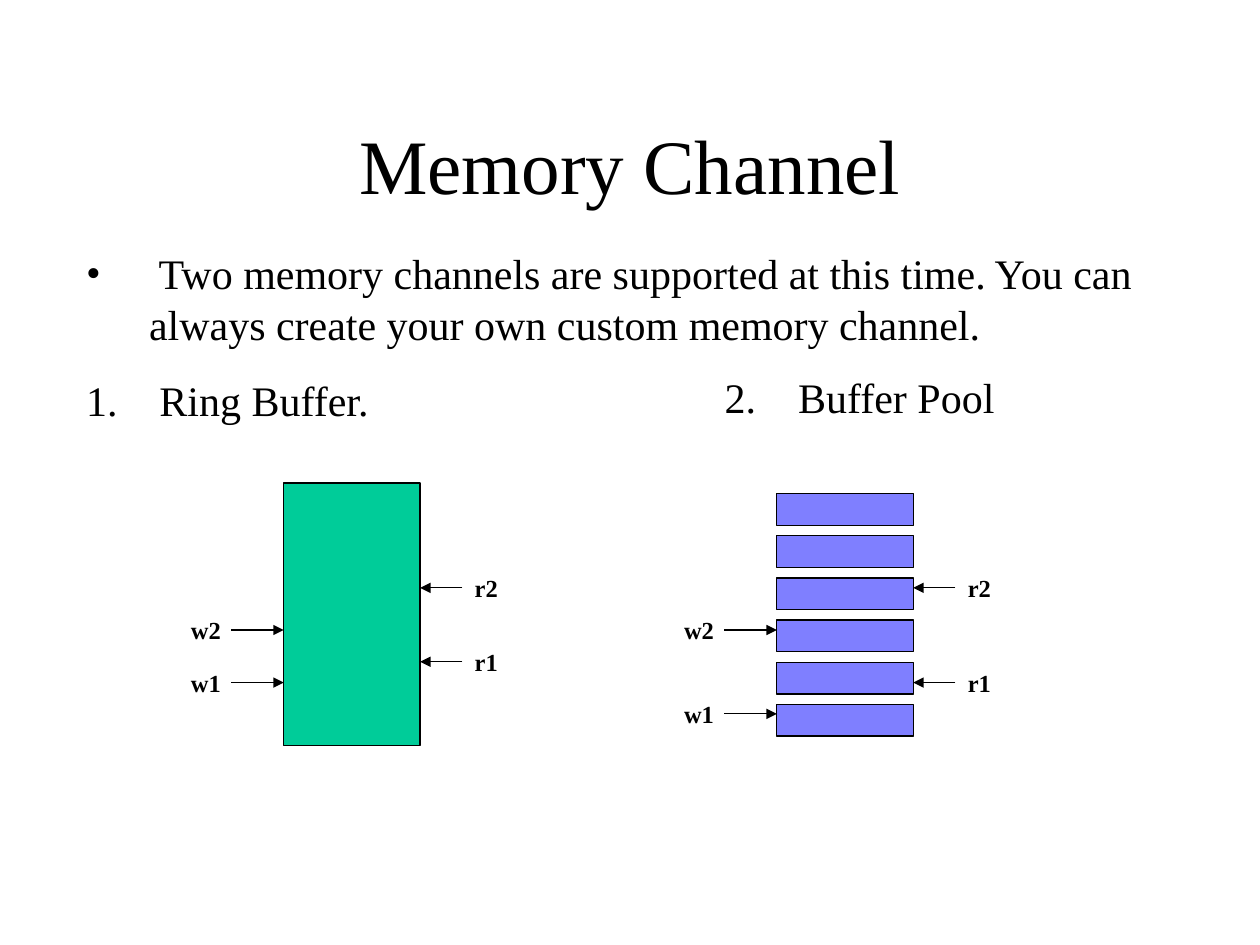
from pptx import Presentation
from pptx.dml.color import RGBColor
from pptx.enum import shapes, text
from pptx.oxml.ns import qn
from pptx.util import Cm, Pt
from lxml import etree

FONT = "Times New Roman"
BLACK = "000000"
TITLE = "Memory Channel"
INTRO = (" Two memory channels are supported at this time. "
         "You can always create your own custom memory channel.")
CHANNELS = (" Ring Buffer.", " Buffer Pool")

# Lengths in centimetres
TITLE_BOX = (1.9, 1.7, 21.6, 3.18)
BODY_BOX = (1.48, 4.87, 22.23, 3.84)
SECOND_BOX = (14.36, 7.37, 8, 1.3)
BUFFER_W = 2.75
WRITE_LEN, READ_LEN = 1.06, 0.85
LABEL_W, LABEL_H = 1.48, 0.86
LABEL_RISE = 0.42      # label top above its arrow
LABEL_SHIFT = 2.12     # writer label left of its buffer

DIAGRAMS = [
    {"left": 5.72, "top": 9.74, "height": 5.29, "count": 1, "pitch": 0,
     "fill": "00CC99", "alpha": 100,
     "writers": {"w1": 13.76, "w2": 12.7},
     "readers": {"r1": 13.34, "r2": 11.85}},
    {"left": 15.66, "top": 9.95, "height": 0.64, "count": 6, "pitch": 0.85,
     "fill": "0000FF", "alpha": 50,
     "writers": {"w1": 14.39, "w2": 12.7},
     "readers": {"r1": 13.76, "r2": 11.85}},
]


def rgb(value):
    return RGBColor.from_string(value)


def cms(values):
    return [Cm(v) for v in values]


def add_xml(parent, tag, **attrs):
    return etree.SubElement(parent, qn(tag), attrs)


def place(sp, box):
    sp.left, sp.top, sp.width, sp.height = cms(box)


def write(p, words, size, bold=False):
    r = p.add_run()
    r.text = words
    for name, value in {"name": FONT, "size": Pt(size), "bold": bold}.items():
        setattr(r.font, name, value)
    r.font.color.rgb = rgb(BLACK)


def set_frame(tf, anchor=text.MSO_ANCHOR.TOP):
    for name, value in {"word_wrap": True, "vertical_anchor": anchor,
                        "auto_size": text.MSO_AUTO_SIZE.NONE}.items():
        setattr(tf, name, value)


def add_item(p, words, number=None, before=0):
    """Write a list item with a hanging indent, numbered or with a dot."""
    p.space_before = Pt(before)
    p.alignment = text.PP_ALIGN.LEFT
    write(p, words, 24)
    pr = p._p.get_or_add_pPr()
    pr.set("marL", str(Cm(1.27)))
    pr.set("indent", str(Cm(-1.27)))
    add_xml(pr, "a:buFont", typeface=FONT)
    if number:
        add_xml(pr, "a:buAutoNum", type="arabicPeriod", startAt=str(number))
    else:
        add_xml(pr, "a:buChar", char="•")


def add_buffer(s, box, fill, alpha):
    sp = s.shapes.add_shape(shapes.MSO_SHAPE.RECTANGLE, *cms(box))
    sp.shadow.inherit = False
    sp.fill.solid()
    sp.fill.fore_color.rgb = rgb(fill)
    sp.line.color.rgb = rgb(BLACK)
    sp.line.width = Pt(0.75)
    if alpha < 100:
        color = sp._element.spPr.find(qn("a:solidFill"))[0]
        add_xml(color, "a:alpha", val=str(alpha * 1000))


def add_pointer(s, label, start, end, y, label_left):
    line = s.shapes.add_connector(shapes.MSO_CONNECTOR.STRAIGHT,
                                  *cms((start, y, end, y)))
    line.line.color.rgb = rgb(BLACK)
    line.line.width = Pt(0.75)
    add_xml(line.line._get_or_add_ln(), "a:tailEnd", type="triangle")
    add_xml(line._element.spPr, "a:effectLst")
    tb = s.shapes.add_textbox(
        *cms((label_left, y - LABEL_RISE, LABEL_W, LABEL_H)))
    set_frame(tb.text_frame)
    write(tb.text_frame.paragraphs[0], label, 14, True)


def add_diagram(s, d):
    left, right = d["left"], d["left"] + BUFFER_W
    for i in range(d["count"]):
        top = d["top"] + i * d["pitch"]
        add_buffer(s, (left, top, BUFFER_W, d["height"]),
                   d["fill"], d["alpha"])
    for label, y in d["writers"].items():
        add_pointer(s, label, left - WRITE_LEN, left, y, left - LABEL_SHIFT)
    for label, y in d["readers"].items():
        add_pointer(s, label, right + READ_LEN, right, y, right + READ_LEN)


def main():
    prs = Presentation()
    prs.slide_width, prs.slide_height = Cm(25.4), Cm(19.05)
    s = prs.slides.add_slide(prs.slide_layouts[1])

    title, body = s.shapes.title, s.placeholders[1]
    place(title, TITLE_BOX)
    set_frame(title.text_frame, text.MSO_ANCHOR.MIDDLE)
    p = title.text_frame.paragraphs[0]
    p.alignment = text.PP_ALIGN.CENTER
    write(p, TITLE, 44)

    place(body, BODY_BOX)
    set_frame(body.text_frame)
    add_item(body.text_frame.paragraphs[0], INTRO)
    add_item(body.text_frame.add_paragraph(), CHANNELS[0], 1, 15)

    second = s.shapes.add_textbox(*cms(SECOND_BOX))
    set_frame(second.text_frame)
    add_item(second.text_frame.paragraphs[0], CHANNELS[1], 2)

    for d in DIAGRAMS:
        add_diagram(s, d)
    prs.save("out.pptx")


if __name__ == "__main__":
    main()
